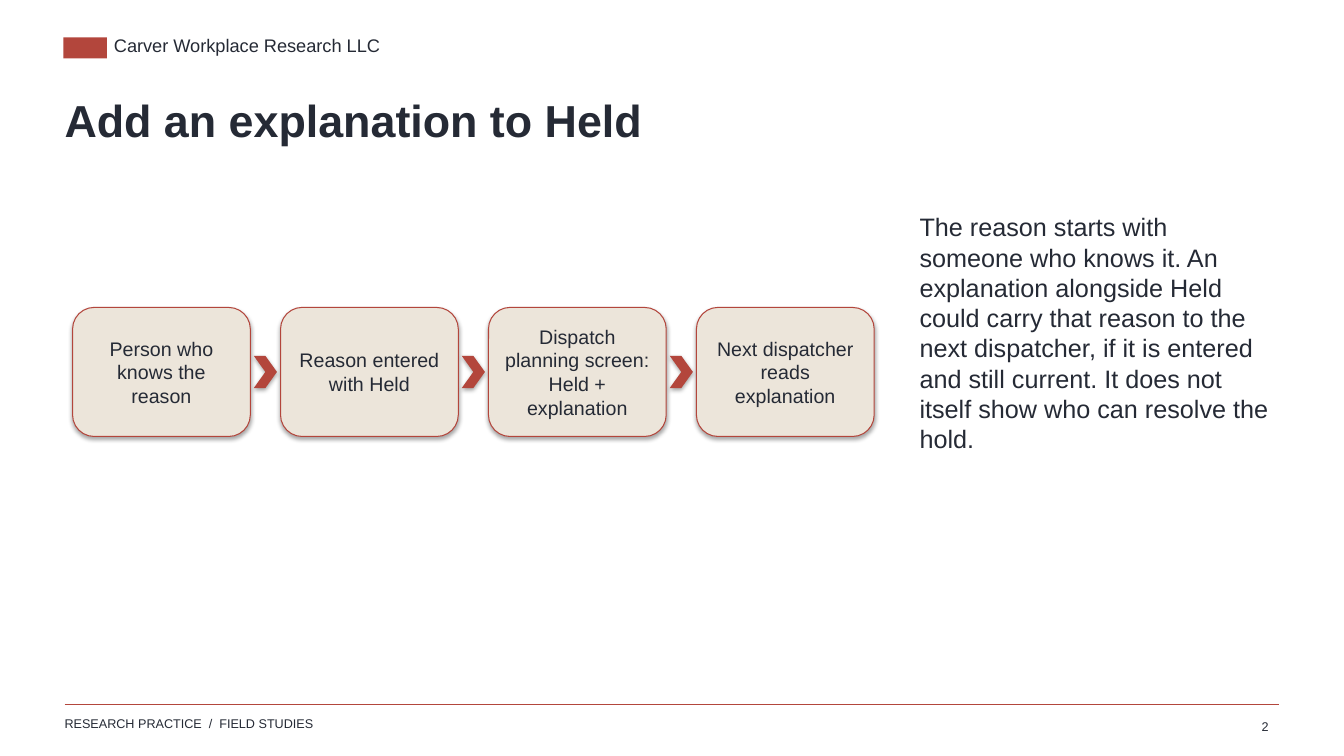
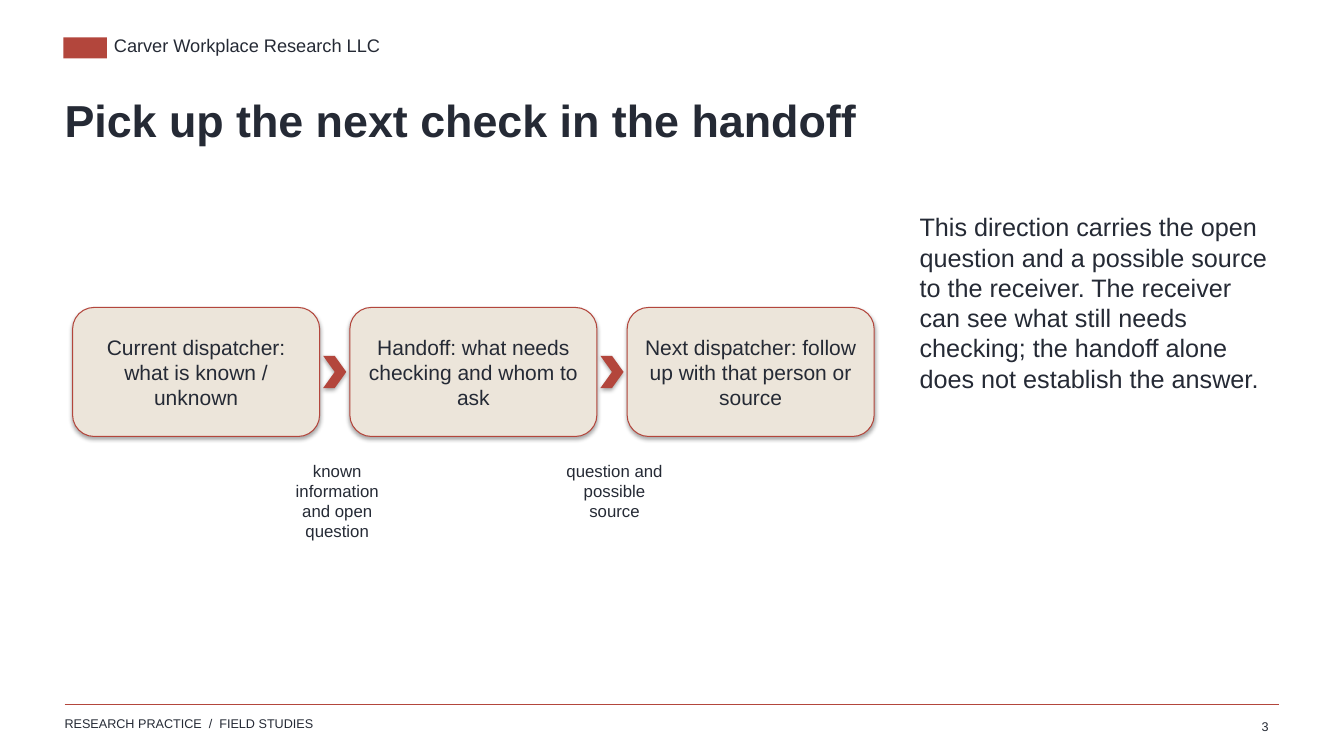
from lxml.etree import SubElement
from pptx import Presentation
from pptx.dml.color import RGBColor
from pptx.enum.shapes import MSO_CONNECTOR, MSO_SHAPE
from pptx.enum.text import MSO_ANCHOR, PP_ALIGN
from pptx.oxml.ns import qn
from pptx.util import Inches, Pt

COLORS = {"ink": "252A35", "accent": "B3463C", "card": "ECE5DA", "shadow": "000000"}
FONT = "Arial"
MARGIN = 0.64

FLOW_LEFT, FLOW_WIDTH = 0.72, 7.95
CARD_TOP, CARD_HEIGHT, CARD_GAP = 3.05, 1.28, 0.3
CHEVRON_WIDTH, CHEVRON_HEIGHT = 0.23, 0.32
CAPTION_TOP, CAPTION_OFFSET = 4.52, 0.45

SLIDES = [
    {
        "number": 2,
        "title": "Add an explanation to Held",
        "body": "The reason starts with someone who knows it. An explanation alongside Held "
                "could carry that reason to the next dispatcher, if it is entered and still "
                "current. It does not itself show who can resolve the hold.",
        "steps": [
            "Person who knows the reason",
            "Reason entered with Held",
            "Dispatch planning screen: Held + explanation",
            "Next dispatcher reads explanation",
        ],
        "step_size": 14,
        "captions": [],
    },
    {
        "number": 3,
        "title": "Pick up the next check in the handoff",
        "body": "This direction carries the open question and a possible source to the "
                "receiver. The receiver can see what still needs checking; the handoff alone "
                "does not establish the answer.",
        "steps": [
            "Current dispatcher: what is known / unknown",
            "Handoff: what needs checking and whom to ask",
            "Next dispatcher: follow up with that person or source",
        ],
        "step_size": 15,
        "captions": ["known information and open question", "question and possible source"],
    },
]


def color(name):
    return RGBColor.from_string(COLORS[name])


def write_text(shape, text, size, bold=False, align=PP_ALIGN.LEFT,
               anchor=MSO_ANCHOR.TOP, inset=0.1):
    frame = shape.text_frame
    frame.word_wrap = True
    frame.vertical_anchor = anchor
    frame.margin_left = frame.margin_right = Inches(inset)
    frame.margin_top = Inches(0.05 if inset else 0)
    paragraph = frame.paragraphs[0]
    paragraph.alignment = align
    run = paragraph.add_run()
    run.text = text
    run.font.name = FONT
    run.font.size = Pt(size)
    run.font.bold = bold
    run.font.color.rgb = color("ink")


def add_text(slide, text, left, top, width, height, **text_format):
    box = slide.shapes.add_textbox(Inches(left), Inches(top), Inches(width), Inches(height))
    write_text(box, text, **text_format)


def add_block(slide, kind, left, top, width, height, fill, outline=None, shadow=False):
    shape = slide.shapes.add_shape(
        kind, Inches(left), Inches(top), Inches(width), Inches(height))
    shape.fill.solid()
    shape.fill.fore_color.rgb = color(fill)
    if outline:
        shape.line.color.rgb = color(outline)
        shape.line.width = Pt(0.75)
    else:
        shape.line.fill.background()
    shape.shadow.inherit = False
    if shadow:
        add_shadow(shape)
    return shape


def add_shadow(shape):
    effects = shape._element.spPr.find(qn("a:effectLst"))
    outer = SubElement(effects, qn("a:outerShdw"), blurRad=str(Pt(3.1)),
                       dist=str(Pt(1.8)), dir="5400000", rotWithShape="0")
    shade = SubElement(outer, qn("a:srgbClr"), val=COLORS["shadow"])
    SubElement(shade, qn("a:alpha"), val="35000")


def add_rule(slide, left, top, width):
    rule = slide.shapes.add_connector(
        MSO_CONNECTOR.STRAIGHT, Inches(left), Inches(top), Inches(left + width), Inches(top))
    rule.line.color.rgb = color("accent")
    rule.line.width = Pt(0.75)
    SubElement(rule._element.spPr, qn("a:effectLst"))


def add_frame(slide, title, number):
    add_block(slide, MSO_SHAPE.RECTANGLE, 0.63, 0.37, 0.43, 0.21, "accent")
    add_text(slide, "Carver Workplace Research LLC", 1.13, 0.34, 5.5, 0.3, size=13, inset=0)
    add_rule(slide, MARGIN, 6.99, 12.05)
    add_text(slide, "RESEARCH PRACTICE  /  FIELD STUDIES", MARGIN, 7.1, 5.5, 0.24,
             size=9, inset=0)
    add_text(slide, title, MARGIN, 0.92, 12, 1, size=32, bold=True, inset=0)
    add_text(slide, str(number), 12.13, 7.08, 0.55, 0.2, size=9, align=PP_ALIGN.RIGHT)


def add_flow(slide, steps, step_size, captions):
    card_width = (FLOW_WIDTH - CARD_GAP * (len(steps) - 1)) / len(steps)
    chevron_top = CARD_TOP + (CARD_HEIGHT - CHEVRON_HEIGHT) / 2
    for index, step in enumerate(steps):
        left = FLOW_LEFT + index * (card_width + CARD_GAP)
        card = add_block(slide, MSO_SHAPE.ROUNDED_RECTANGLE, left, CARD_TOP, card_width,
                         CARD_HEIGHT, "card", outline="accent", shadow=True)
        write_text(card, step, step_size, align=PP_ALIGN.CENTER, anchor=MSO_ANCHOR.MIDDLE)
        gap_left = left + card_width
        if index < len(steps) - 1:
            add_block(slide, MSO_SHAPE.CHEVRON, gap_left + (CARD_GAP - CHEVRON_WIDTH) / 2,
                      chevron_top, CHEVRON_WIDTH, CHEVRON_HEIGHT, "accent", shadow=True)
        if index < len(captions):
            add_text(slide, captions[index], gap_left - CAPTION_OFFSET, CAPTION_TOP,
                     1.25, 0.85, size=12, align=PP_ALIGN.CENTER)


def main():
    presentation = Presentation()
    presentation.slide_width = Inches(13.33)
    presentation.slide_height = Inches(7.5)
    for content in SLIDES:
        slide = presentation.slides.add_slide(presentation.slide_layouts[6])
        add_frame(slide, content["title"], content["number"])
        add_text(slide, content["body"], 9.12, 2.1, 3.48, 4.39, size=18, inset=0)
        add_flow(slide, content["steps"], content["step_size"], content["captions"])
    presentation.save("out.pptx")


if __name__ == "__main__":
    main()
